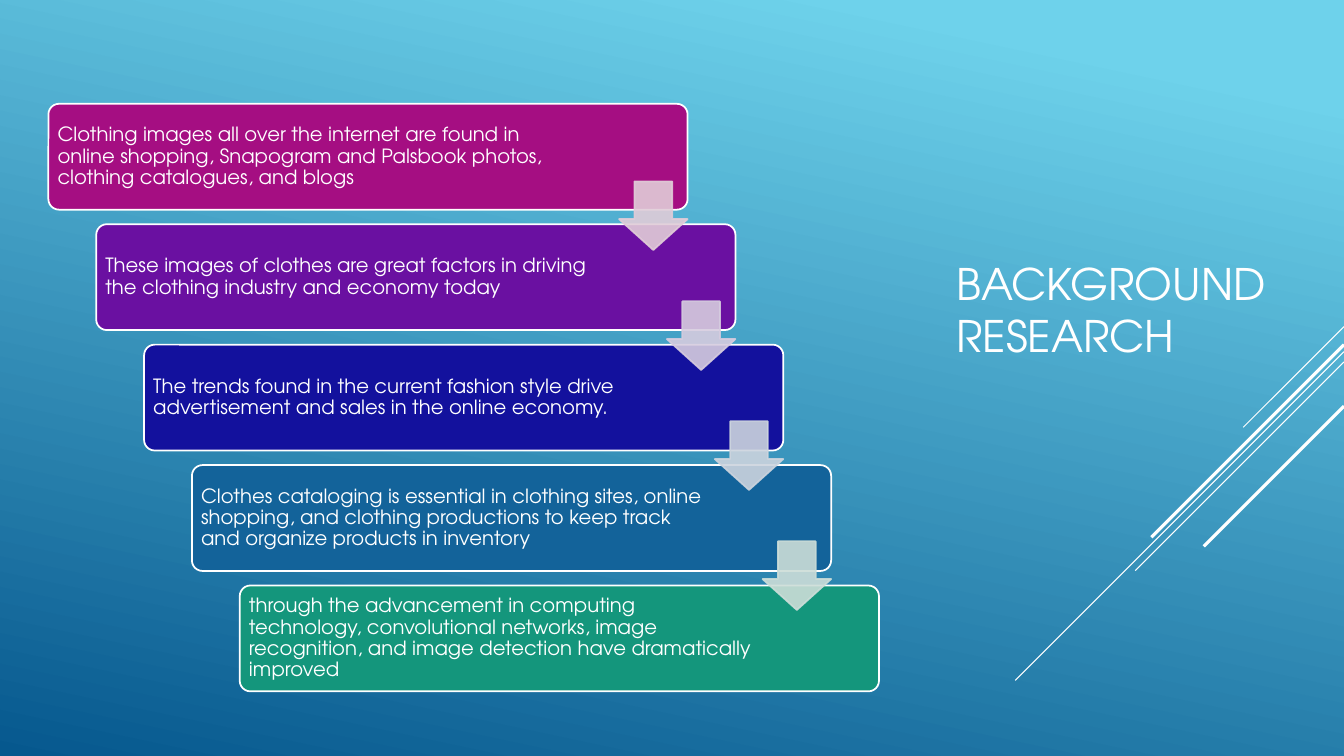
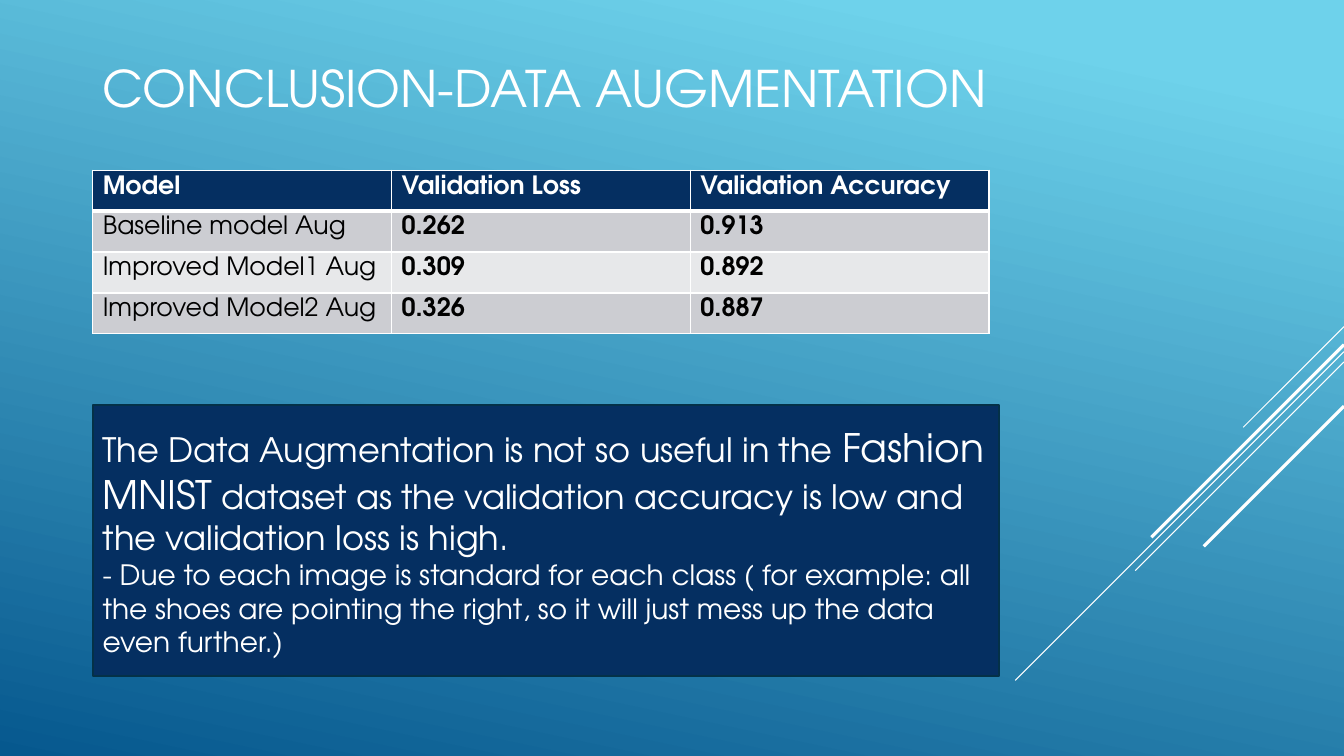
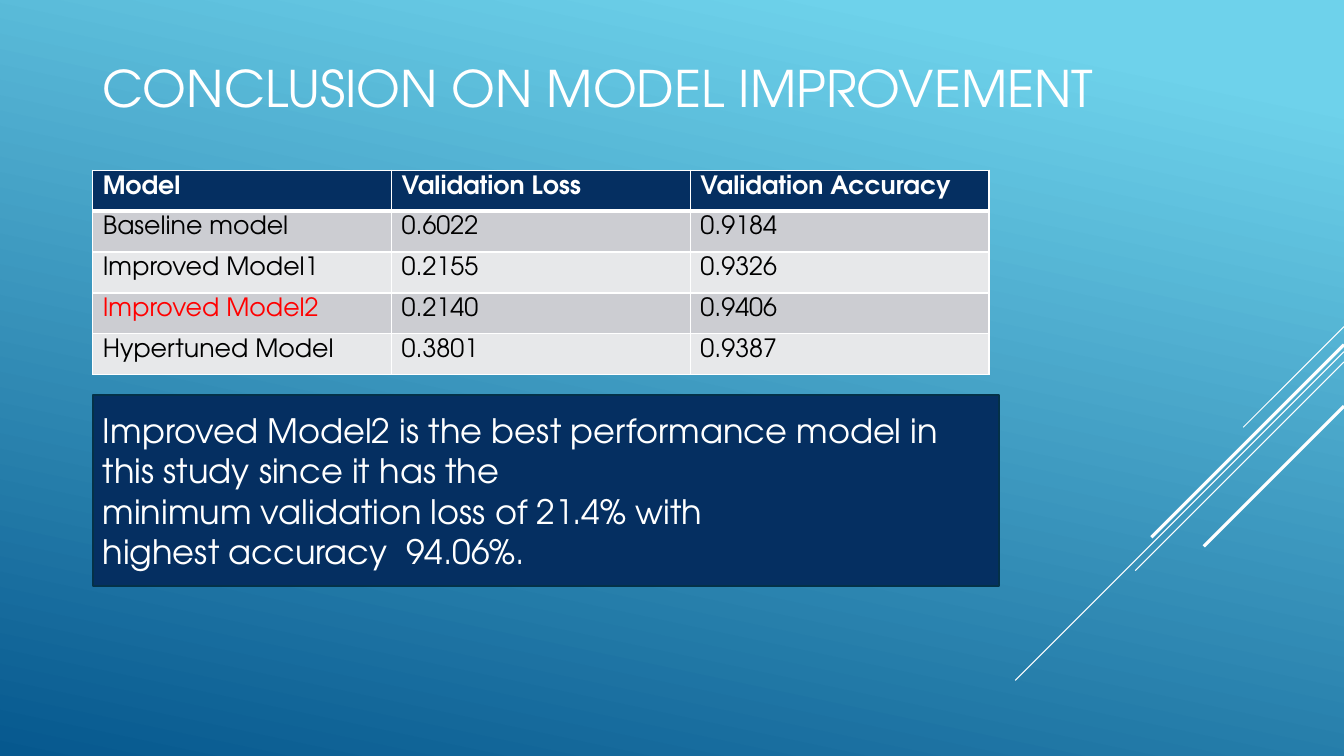
"""Build three slides on clothing image research and its model results."""
import lxml.etree
import pptx
import pptx.dml.color
import pptx.enum.shapes
import pptx.enum.text
import pptx.oxml.ns
import pptx.util

RGBColor = pptx.dml.color.RGBColor
Pt = pptx.util.Pt
qn = pptx.oxml.ns.qn
SHAPE = pptx.enum.shapes.MSO_SHAPE
LEFT = pptx.enum.text.PP_ALIGN.LEFT
MIDDLE = pptx.enum.text.MSO_ANCHOR.MIDDLE

WIDTH = pptx.util.Inches(13.33)
HEIGHT = pptx.util.Inches(7.5)
FONT = "TeX Gyre Adventor"
MARGIN = 6.9

WHITE = RGBColor(0xFF, 0xFF, 0xFF)
BLACK = RGBColor(0x00, 0x00, 0x00)
RED = RGBColor(0xFF, 0x00, 0x00)
SKY = RGBColor(0x6E, 0xD2, 0xEB)
DEEP = RGBColor(0x06, 0x58, 0x8E)
NAVY = RGBColor(0x05, 0x2F, 0x61)
EDGE = RGBColor(0x04, 0x31, 0x48)
BANDS = (RGBColor(0xCC, 0xCD, 0xD2), RGBColor(0xE7, 0xE8, 0xEA))

RAYS = (
    (43.2, 7.5, 0.75),
    (46.53, 24.46, 0.75),
    (47.87, 15.53, 0.75),
    (45.6, 14.33, 2.25),
    (53.73, 10.43, 2.25),
)
STEPS = (
    (RGBColor(0xA5, 0x0E, 0x82),
     "Clothing images all over the internet are found in online shopping, "
     "Snapogram and Palsbook photos, clothing catalogues, and blogs"),
    (RGBColor(0x6A, 0x10, 0xA1),
     "These images of clothes are great factors in driving the clothing "
     "industry and economy today"),
    (RGBColor(0x13, 0x11, 0x9D),
     "The trends found in the current fashion style drive advertisement "
     "and sales in the online economy."),
    (RGBColor(0x13, 0x63, 0x9A),
     "Clothes cataloging is essential in clothing sites, online shopping, "
     "and clothing productions to keep track and organize products in "
     "inventory"),
    (RGBColor(0x14, 0x96, 0x7C),
     "through the advancement in computing technology, convolutional "
     "networks, image recognition, and image detection have dramatically "
     "improved"),
)
ARROWS = (
    RGBColor(0xE1, 0xCC, 0xD8),
    RGBColor(0xD6, 0xCC, 0xDF),
    RGBColor(0xCC, 0xD4, 0xDE),
    RGBColor(0xCC, 0xDD, 0xD8),
)
HEADS = ("Model", "Validation Loss", "Validation Accuracy")


def wide(share):
    """Turn a percentage of the slide width into a length."""
    return round(WIDTH * share / 100)


def high(share):
    """Turn a percentage of the slide height into a length."""
    return round(HEIGHT * share / 100)


def area(left, top, width, height):
    """Turn four percentages into a position and size."""
    return wide(left), high(top), wide(width), high(height)


def write(para, text, size, color=WHITE, bold=False):
    """Add one styled run to a paragraph."""
    run = para.add_run()
    run.text = text
    font = run.font
    font.name, font.size, font.bold = FONT, Pt(size), bold
    font.color.rgb = color


def fill_text(frame, paras):
    """Write left-aligned, centred-in-height paragraphs of (text, size) runs."""
    frame.word_wrap = True
    frame.vertical_anchor = MIDDLE
    for index, runs in enumerate(paras):
        para = frame.add_paragraph() if index else frame.paragraphs[0]
        para.alignment = LEFT
        for text, size in runs:
            write(para, text, size)


def add_block(slide, kind, box, fill, edge):
    """Add a flat preset shape with a solid fill and thin outline."""
    block = slide.shapes.add_shape(kind, *box)
    block.shadow.inherit = False
    block.fill.solid()
    block.fill.fore_color.rgb = fill
    block.line.color.rgb = edge
    block.line.width = Pt(1.25)
    return block


def add_title(slide, text, size, box):
    """Add the slide title and return its text frame."""
    frame = slide.shapes.add_textbox(*box).text_frame
    fill_text(frame, [[(text, size)]])
    return frame


def add_rays(slide):
    """Draw the diagonal lines that run in from the right edge."""
    group = slide.shapes.add_group_shape()
    for top, reach, weight in RAYS:
        span = wide(reach)
        ray = group.shapes.add_connector(
            pptx.enum.shapes.MSO_CONNECTOR.STRAIGHT,
            WIDTH, high(top), WIDTH - span, high(top) + span)
        ray.line.color.rgb = WHITE
        ray.line.width = Pt(weight)
        lxml.etree.SubElement(ray.element.spPr, qn("a:effectLst"))


def add_slide(deck):
    """Add a blank slide with the shared gradient and rays."""
    slide = deck.slides.add_slide(deck.slide_layouts[6])
    fill = slide.background.fill
    fill.gradient()
    fill.gradient_angle = 258
    for stop, color, place in zip(fill.gradient_stops, (SKY, DEEP), (0.1, 1)):
        stop.color.rgb = color
        stop.position = place
    add_rays(slide)
    return slide


def add_card(slide, index, fill, text):
    """Add one card of the staircase."""
    box = area(3.6 + 3.56 * index, 13.73 + 15.93 * index, 47.56, 14)
    card = add_block(slide, SHAPE.ROUNDED_RECTANGLE, box, fill, WHITE)
    card.adjustments[0] = 0.1
    frame = card.text_frame
    frame.margin_left = frame.margin_top = frame.margin_bottom = wide(0.45)
    frame.margin_right = wide(9.1)
    fill_text(frame, [[(text, 14)]])
    frame.paragraphs[0].line_spacing = 0.9


def add_arrow(slide, index, color):
    """Add a slightly clear arrow from one card to the next."""
    box = area(46.06 + 3.56 * index, 24 + 15.87 * index, 5.1, 9.07)
    arrow = add_block(slide, SHAPE.DOWN_ARROW, box, color, color)
    arrow.adjustments[0] = 0.55
    arrow.adjustments[1] = 0.45
    for tint in arrow.element.spPr.iter(qn("a:srgbClr")):
        lxml.etree.SubElement(tint, qn("a:alpha"), val="90000")


def set_edges(cell, row):
    """Give a cell white borders, thick below the header row."""
    props = cell._tc.get_or_add_tcPr()
    thick = {"T": row == 1, "B": row == 0}
    for side in "LRTB":
        weight = 3 if thick.get(side) else 1
        line = lxml.etree.SubElement(
            props, qn("a:ln" + side), w=str(Pt(weight)))
        paint = lxml.etree.SubElement(line, qn("a:solidFill"))
        lxml.etree.SubElement(paint, qn("a:srgbClr"), val=str(WHITE))


def add_scores(slide, models, bold=False, best=None):
    """Add the score table, with bold values or a red best model."""
    rows = (HEADS,) + models
    box = area(MARGIN, 22.53, 66.7, 5.41 * len(rows))
    table = slide.shapes.add_table(len(rows), len(HEADS), *box).table
    for row, texts in enumerate(rows):
        for col, text in enumerate(texts):
            cell = table.cell(row, col)
            set_edges(cell, row)
            cell.fill.solid()
            cell.fill.fore_color.rgb = BANDS[(row - 1) % 2] if row else NAVY
            color = BLACK if row else WHITE
            if text == best:
                color = RED
            heavy = row == 0 or (bold and col > 0)
            write(cell.text_frame.paragraphs[0], text, 18, color, heavy)


def add_panel(slide, top, height, paras):
    """Add the navy panel that holds the finding."""
    box = area(MARGIN, top, 67.44, height)
    panel = add_block(slide, SHAPE.RECTANGLE, box, NAVY, EDGE)
    fill_text(panel.text_frame, paras)


def show_research(deck):
    """Build the staircase of background points."""
    slide = add_slide(deck)
    frame = add_title(slide, "BACKGROUND RESEARCH", 31,
                      area(70.44, 13.73, 25, 47.33))
    frame.margin_top = high(7.6)
    for index, (fill, text) in enumerate(STEPS):
        add_card(slide, index, fill, text)
    for index, color in enumerate(ARROWS):
        add_arrow(slide, index, color)


def show_result(deck, title, models, panel, **marks):
    """Build a slide with a title, a score table and a finding."""
    slide = add_slide(deck)
    add_title(slide, title, 36, area(MARGIN, 0.53, 80.57, 22))
    add_scores(slide, models, **marks)
    add_panel(slide, *panel)


def main():
    """Build and save the deck."""
    deck = pptx.Presentation()
    deck.slide_width, deck.slide_height = WIDTH, HEIGHT
    show_research(deck)
    show_result(
        deck, "CONCLUSION-DATA AUGMENTATION",
        (("Baseline model Aug", "0.262", "0.913"),
         ("Improved Model1 Aug", "0.309", "0.892"),
         ("Improved Model2 Aug", "0.326", "0.887")),
        (53.6, 35.87, [
            [("The Data Augmentation is not so useful in the ", 24),
             ("Fashion MNIST", 28),
             (" dataset as the validation accuracy is low and the "
              "validation loss is high.", 24)],
            [("- Due to each image is standard for each class ( for "
              "example: all the shoes are pointing the right, so it will "
              "just mess up the data even further.)", 20)]]),
        bold=True)
    show_result(
        deck, "CONCLUSION ON MODEL IMPROVEMENT",
        (("Baseline model", "0.6022", "0.9184"),
         ("Improved Model1", "0.2155", "0.9326"),
         ("Improved Model2", "0.2140", "0.9406"),
         ("Hypertuned Model", "0.3801", "0.9387")),
        (52.27, 25.2, [
            [("Improved Model2 is the best performance model in this "
              "study since it has the", 24)],
            [("minimum validation loss of 21.4% with", 24)],
            [("highest accuracy  94.06%.", 24)]]),
        best="Improved Model2")
    deck.save("out.pptx")


if __name__ == "__main__":
    main()
